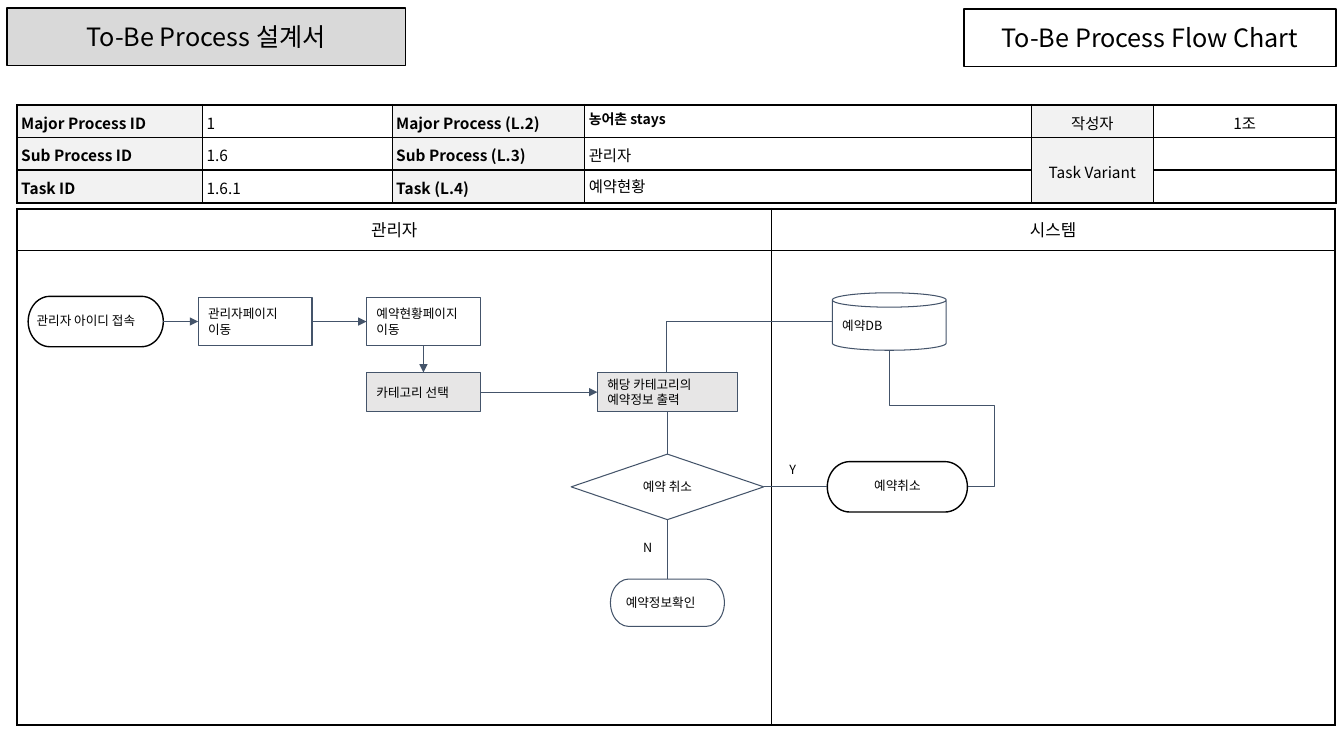
from dataclasses import dataclass

from lxml.etree import SubElement
from pptx import Presentation
from pptx.dml.color import RGBColor
from pptx.enum.shapes import MSO_CONNECTOR, MSO_SHAPE
from pptx.enum.text import MSO_ANCHOR, MSO_AUTO_SIZE, PP_ALIGN
from pptx.oxml.ns import qn
from pptx.util import Inches, Pt


@dataclass(frozen=True)
class Theme:
    font: str = "Noto Sans CJK KR"
    black: str = "000000"
    white: str = "FFFFFF"
    slate: str = "44546A"
    banner: str = "D9D9D9"
    label: str = "F2F2F2"
    system: str = "E7E6E6"
    title: float = 18
    lane: float = 12
    info: float = 11
    small: float = 10
    node: float = 9
    thin: float = 0.75
    medium: float = 1
    thick: float = 1.5


T = Theme()
LEFT, CENTER = PP_ALIGN.LEFT, PP_ALIGN.CENTER
TOP, MIDDLE = MSO_ANCHOR.TOP, MSO_ANCHOR.MIDDLE
UP, WEST, DOWN, EAST = range(4)
TERMINATOR = MSO_SHAPE.FLOWCHART_TERMINATOR
PROCESS = MSO_SHAPE.FLOWCHART_PROCESS


@dataclass(frozen=True)
class Node:
    key: str
    kind: int
    text: str
    cx: float
    cy: float
    w: float = 1.13
    h: float = 0.47
    fill: str = T.white
    align: int = LEFT
    bold_edge: bool = False


@dataclass(frozen=True)
class Link:
    start: str
    start_side: int
    end: str
    end_side: int
    arrow: bool = False


@dataclass(frozen=True)
class Elbow:
    box: tuple
    rot: int
    preset: str
    adjust: tuple = ()


@dataclass(frozen=True)
class Cell:
    text: str = ""
    bold: bool = False
    fill: str | None = None
    align: int = LEFT
    anchor: int = TOP
    size: float = T.info
    spacing: float = 1.1


NODES = [
    Node("login", TERMINATOR, "관리자 아이디 접속", 0.95, 3.19, 1.34, 0.5, bold_edge=True),
    Node("admin", PROCESS, "관리자페이지 이동", 2.53, 3.19),
    Node("status", PROCESS, "예약현황페이지\n이동", 4.2, 3.19),
    Node("category", MSO_SHAPE.RECTANGLE, "카테고리 선택", 4.2, 3.89, h=0.39, fill=T.system),
    Node("output", MSO_SHAPE.RECTANGLE, "해당 카테고리의 예약정보 출력", 6.62, 3.89, 1.39, 0.39, T.system),
    Node("decision", MSO_SHAPE.FLOWCHART_DECISION, "예약 취소", 6.62, 4.83, 1.91, 0.65, align=CENTER),
    Node("confirm", TERMINATOR, "예약정보확인", 6.62, 5.98),
    Node("db", MSO_SHAPE.CAN, "예약DB", 8.82, 3.19, h=0.57),
    Node("cancel", TERMINATOR, "예약취소", 8.9, 4.83, 1.39, 0.5, align=CENTER, bold_edge=True),
]
LINKS = [
    Link("login", EAST, "admin", WEST, True),
    Link("admin", EAST, "status", WEST, True),
    Link("status", DOWN, "category", UP, True),
    Link("category", EAST, "output", WEST, True),
    Link("output", DOWN, "decision", UP),
    Link("decision", DOWN, "confirm", UP),
    Link("decision", EAST, "cancel", WEST),
]
ELBOWS = [
    Elbow((7.18, 2.62, 0.51, 1.64), 270, "bentConnector2"),
    Elbow((8.82, 3.47, 0.78, 1.36), 180, "bentConnector4", (-33400, 59200)),
]


def label(text: str) -> Cell:
    return Cell(text, bold=True, fill=T.label)


def centred(text: str, fill: str | None = None) -> Cell:
    return Cell(text, fill=fill, align=CENTER, anchor=MIDDLE)


def lane(text: str) -> Cell:
    return Cell(text, align=CENTER, anchor=MIDDLE, size=T.lane, spacing=1)


INFO = [
    [label("Major Process ID"), Cell("1"), label("Major Process (L.2)"),
     Cell("농어촌 stays", bold=True, size=T.small, spacing=1), centred("작성자", T.label), centred("1조")],
    [label("Sub Process ID"), Cell("1.6"), label("Sub Process (L.3)"),
     Cell("관리자"), centred("Task Variant", T.label), Cell()],
    [label("Task ID"), Cell("1.6.1"), label("Task (L.4)"),
     Cell("예약현황", spacing=1), None, Cell()],
]
LANES = [[lane("관리자"), lane("시스템")], [Cell(), Cell()]]


def write(tf, text: str, *, size: float, bold=False, align=LEFT, anchor=MIDDLE,
          spacing=None, hanging=0.0) -> None:
    tf.vertical_anchor = anchor
    for i, line in enumerate(text.split("\n")):
        p = tf.paragraphs[0] if i == 0 else tf.add_paragraph()
        p.alignment = align
        p.line_spacing = spacing
        if hanging:
            pPr = p._p.get_or_add_pPr()
            pPr.set("marL", str(Inches(hanging)))
            pPr.set("indent", str(-Inches(hanging)))
        if not line:
            SubElement(p._p, qn("a:endParaRPr")).set("sz", str(int(size * 100)))
            continue
        r = p.add_run()
        r.text = line
        r.font.name, r.font.size, r.font.bold = T.font, Pt(size), bold
        r.font.color.rgb = RGBColor.from_string(T.black)
        SubElement(r._r.get_or_add_rPr(), qn("a:ea")).set("typeface", T.font)


def set_margins(target, x: float, y: float) -> None:
    target.margin_left = target.margin_right = Inches(x)
    target.margin_top = target.margin_bottom = Inches(y)


def paint(sp, fill: str | None, line: str, width: float) -> None:
    if fill:
        sp.fill.solid()
        sp.fill.fore_color.rgb = RGBColor.from_string(fill)
    else:
        sp.fill.background()
    sp.line.color.rgb = RGBColor.from_string(line)
    sp.line.width = Pt(width)


def set_borders(cell, widths: dict[str, float]) -> None:
    tcPr = cell._tc.get_or_add_tcPr()
    for i, (side, width) in enumerate(widths.items()):
        ln = tcPr.makeelement(qn(f"a:{side}"), {"w": str(Pt(width))})
        SubElement(SubElement(ln, qn("a:solidFill")), qn("a:srgbClr")).set("val", T.black)
        tcPr.insert(i, ln)


def draw_table(s, box: tuple, cols: list, rows: list, cells: list, inner: float,
               margins: tuple, merge: tuple | None = None) -> None:
    table = s.shapes.add_table(len(rows), len(cols), *map(Inches, box)).table
    table.first_row = table.horz_banding = False
    for column, width in zip(table.columns, cols):
        column.width = Inches(width)
    for row, height in zip(table.rows, rows):
        row.height = Inches(height)
    if merge:
        table.cell(*merge[0]).merge(table.cell(*merge[1]))
    for i, line in enumerate(cells):
        for j, item in enumerate(line):
            cell = table.cell(i, j)
            bottom = i + (cell.span_height if cell.is_merge_origin else 1)
            outer = {"lnL": j == 0, "lnR": j == len(cols) - 1, "lnT": i == 0, "lnB": bottom == len(rows)}
            if item:
                set_margins(cell, *margins)
                write(cell.text_frame, item.text, size=item.size, bold=item.bold,
                      align=item.align, spacing=item.spacing)
                cell.vertical_anchor = item.anchor
            if item and item.fill:
                cell.fill.solid()
                cell.fill.fore_color.rgb = RGBColor.from_string(item.fill)
            else:
                cell.fill.background()
            set_borders(cell, {side: T.thick if edge else inner for side, edge in outer.items()})


def draw_node(s, n: Node):
    sp = s.shapes.add_shape(n.kind, *map(Inches, (n.cx - n.w / 2, n.cy - n.h / 2, n.w, n.h)))
    sp.shadow.inherit = False
    paint(sp, n.fill, *((T.black, T.medium) if n.bold_edge else (T.slate, T.thin)))
    set_margins(sp.text_frame, *((0.02, 0) if n.bold_edge else (0.1, 0.1)))
    write(sp.text_frame, n.text, size=T.node, align=n.align,
          **({"spacing": 0.9, "hanging": 0.19} if n.bold_edge else {}))
    return sp


def add_line(s, kind: int, box: tuple = (0, 0, 0, 0)):
    x, y, w, h = box
    c = s.shapes.add_connector(kind, *map(Inches, (x, y, x + w, y + h)))
    c.line.color.rgb = RGBColor.from_string(T.slate)
    c.line.width = Pt(T.thin)
    SubElement(c._element.spPr, qn("a:effectLst"))
    return c


def draw_link(s, link: Link, shapes: dict) -> None:
    c = add_line(s, MSO_CONNECTOR.STRAIGHT)
    c.begin_connect(shapes[link.start], link.start_side)
    c.end_connect(shapes[link.end], link.end_side)
    if link.arrow:
        SubElement(c.line._get_or_add_ln(), qn("a:tailEnd")).set("type", "triangle")


def draw_elbow(s, elbow: Elbow) -> None:
    spPr = add_line(s, MSO_CONNECTOR.ELBOW, elbow.box)._element.spPr
    spPr.find(qn("a:xfrm")).set("rot", str(elbow.rot * 60000))
    geom = spPr.find(qn("a:prstGeom"))
    geom.set("prst", elbow.preset)
    for i, value in enumerate(elbow.adjust, 1):
        gd = SubElement(geom.find(qn("a:avLst")), qn("a:gd"))
        gd.set("name", f"adj{i}")
        gd.set("fmla", f"val {value}")


def draw_banner(sp, text: str, box: tuple, fill: str | None) -> None:
    sp.left, sp.top, sp.width, sp.height = map(Inches, box)
    paint(sp, fill, T.black, T.medium)
    sp.text_frame.auto_size = MSO_AUTO_SIZE.NONE
    write(sp.text_frame, text, size=T.title, align=CENTER)


def main() -> None:
    prs = Presentation()
    prs.slide_width, prs.slide_height = Inches(13.33), Inches(7.5)
    s = prs.slides.add_slide(prs.slide_layouts[5])

    # Banners
    draw_banner(s.shapes.title, "To-Be Process 설계서", (0.07, 0.08, 3.95, 0.57), T.banner)
    chart_banner = s.shapes.add_shape(MSO_SHAPE.RECTANGLE, 0, 0, 0, 0)
    chart_banner.shadow.inherit = False
    draw_banner(chart_banner, "To-Be Process Flow Chart", (9.56, 0.09, 3.69, 0.57), None)

    # Swimlanes and process details
    draw_table(s, (0.17, 2.07, 13.07, 5.12), [7.48, 5.59], [0.41, 4.71], LANES, T.thin, (0.1, 0.05))
    draw_table(s, (0.17, 1.04, 13.07, 0.94), [1.84, 1.88, 1.91, 4.43, 1.21, 1.81], [0.31] * 3,
               INFO, T.medium, (0.04, 0.04), merge=((1, 4), (2, 4)))

    # Flow chart
    shapes = {n.key: draw_node(s, n) for n in NODES}
    for link in LINKS:
        draw_link(s, link, shapes)
    for elbow in ELBOWS:
        draw_elbow(s, elbow)

    # Branch labels
    for text, x, y, w in (("Y", 7.73, 4.51, 0.44), ("N", 6.28, 5.28, 0.34)):
        tf = s.shapes.add_textbox(*map(Inches, (x, y, w, 0.35))).text_frame
        tf.word_wrap = True
        set_margins(tf, 0.1, 0.1)
        write(tf, text, size=T.node, anchor=TOP)

    prs.save("out.pptx")


if __name__ == "__main__":
    main()
